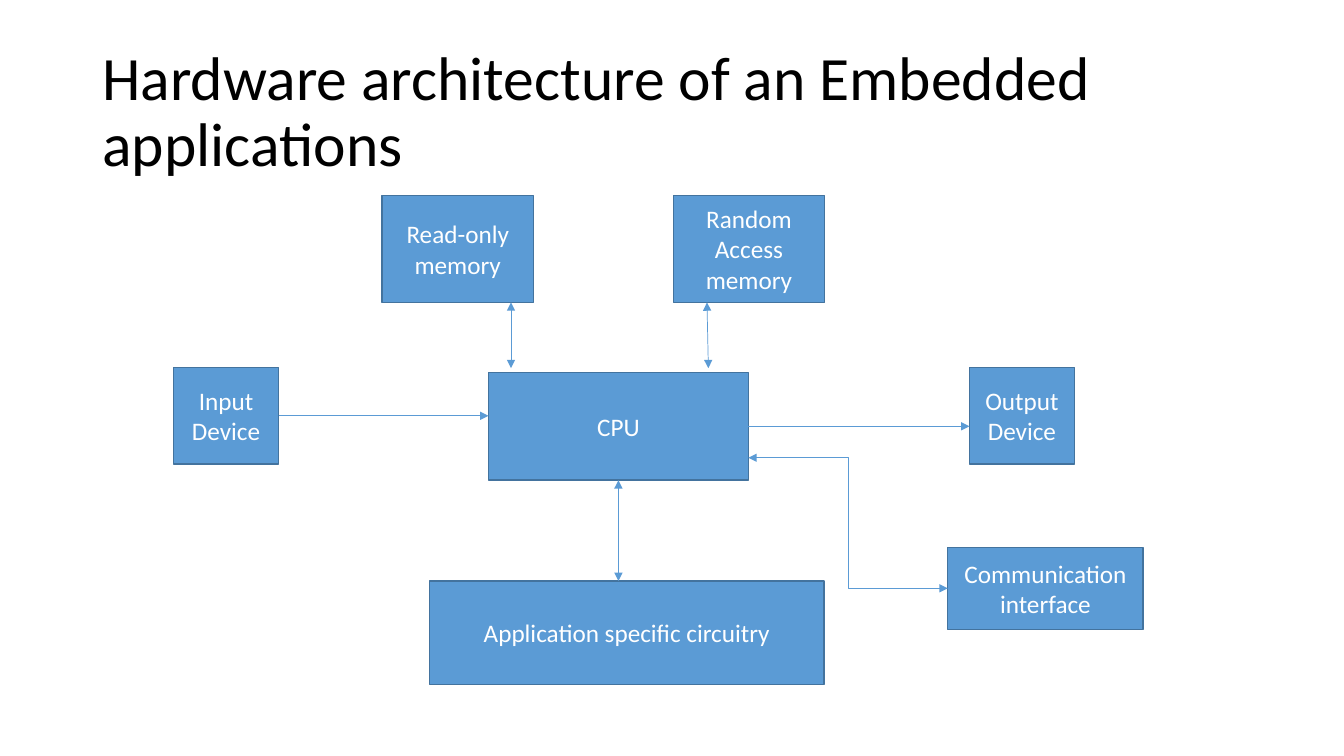
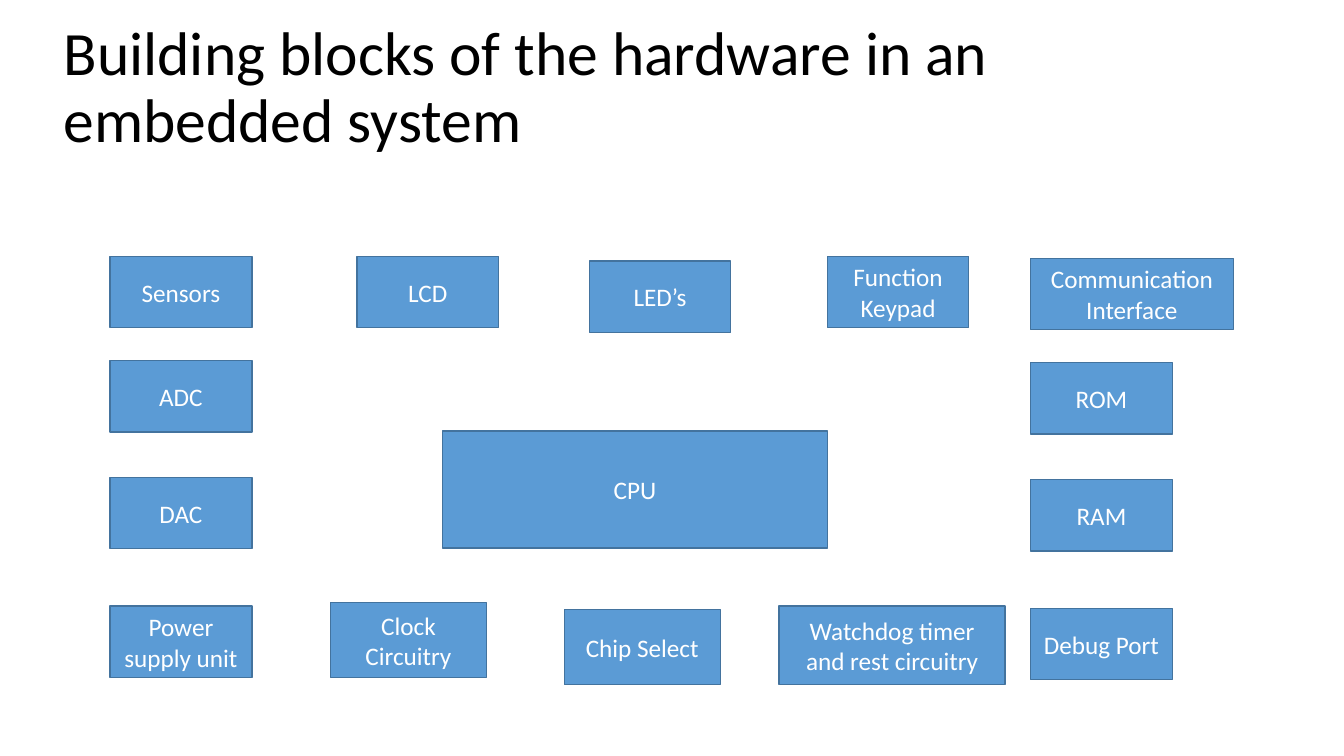
from dataclasses import dataclass
from typing import Optional

import pptx
import pptx.dml.color
import pptx.enum.shapes
import pptx.enum.text
import pptx.oxml.ns
import pptx.presentation
import pptx.shapes.autoshape
import pptx.slide
import pptx.util
from lxml import etree

Pt = pptx.util.Pt
RGBColor = pptx.dml.color.RGBColor
CONNECTOR = pptx.enum.shapes.MSO_CONNECTOR

# Shared look
FONT = "Calibri"
BLOCK_FILL = RGBColor(0x5B, 0x9B, 0xD5)
BLOCK_EDGE = RGBColor(0x43, 0x73, 0x9E)
BLOCK_TEXT = RGBColor(0xFF, 0xFF, 0xFF)
TITLE_TEXT = RGBColor(0x00, 0x00, 0x00)
TITLE_ONLY = 5
TITLE_WIDTH, TITLE_HEIGHT = 828, 104.4

# Connection sites of a rectangle
LEFT, BOTTOM, RIGHT = 1, 2, 3


@dataclass(frozen=True)
class Block:
    label: str
    left: float
    top: float
    width: float
    height: float


@dataclass(frozen=True)
class Joint:
    label: str
    side: int


@dataclass(frozen=True)
class Link:
    start: tuple[float, float]
    end: tuple[float, float]
    start_joint: Optional[Joint] = None
    end_joint: Optional[Joint] = None
    two_way: bool = True
    bent: bool = False


# Hardware architecture
ARCHITECTURE = [
    Block("CPU", 349, 266, 185.5, 77),
    Block("Input Device", 124, 262.5, 75, 69),
    Block("Output Device", 692.5, 262.5, 75, 69),
    Block("Read-only memory", 273, 139.5, 108, 76.5),
    Block("Random Access memory", 481, 139.5, 108, 76.5),
    Block("Application specific circuitry", 307, 415, 281.5, 74),
    Block("Communication interface", 677, 391, 139.5, 58.5),
]
LINKS = [
    Link((199, 297), (349, 297), Joint("Input Device", RIGHT), two_way=False),
    Link((534.5, 304.5), (692.5, 304.5), Joint("CPU", RIGHT), two_way=False),
    Link((365, 216), (365, 263)),
    Link((505, 216), (506, 263)),
    Link((441.75, 343), (441.75, 415), Joint("CPU", BOTTOM)),
    Link((534.5, 327), (677, 420.25),
         end_joint=Joint("Communication interface", LEFT), bent=True),
]

# Building blocks: two side columns share their rows
UNIT_WIDTH, UNIT_HEIGHT = 101.5, 51
ROW_TOPS = [183, 257.5, 341, 433]
LEFT_UNITS = ["Sensors", "ADC", "DAC", "Power supply unit"]
RIGHT_UNITS = ["Communication Interface", "ROM", "RAM", "Debug Port"]
RIGHT_WIDTHS = [145, UNIT_WIDTH, UNIT_WIDTH, UNIT_WIDTH]
BUILDING_BLOCKS = [
    *(Block(label, 78.5, top, UNIT_WIDTH, UNIT_HEIGHT)
      for label, top in zip(LEFT_UNITS, ROW_TOPS)),
    *(Block(label, 736, top + 1.5, width, UNIT_HEIGHT)
      for label, top, width in zip(RIGHT_UNITS, ROW_TOPS, RIGHT_WIDTHS)),
    Block("CPU", 316, 308, 275, 83.5),
    Block("LCD", 255, 183, 101, UNIT_HEIGHT),
    Block("LED’s", 421, 186.5, 101, UNIT_HEIGHT),
    Block("Function Keypad", 591, 183, 101, UNIT_HEIGHT),
    Block("Clock Circuitry", 236, 430.5, 111.5, 53.5),
    Block("Chip Select", 403, 435.5, 111.5, 53.5),
    Block("Watchdog timer and rest circuitry", 556.5, 433, 161.5, 56),
]


def write(frame: pptx.text.text.TextFrame, text: str, size: float,
          color: RGBColor, align: pptx.enum.text.PP_ALIGN):
    """Fill a text frame with one middle-anchored paragraph."""
    frame.word_wrap = True
    frame.auto_size = pptx.enum.text.MSO_AUTO_SIZE.NONE
    frame.vertical_anchor = pptx.enum.text.MSO_ANCHOR.MIDDLE
    paragraph = frame.paragraphs[0]
    paragraph.alignment = align
    run = paragraph.add_run()
    run.text = text
    run.font.name = FONT
    run.font.size = Pt(size)
    run.font.color.rgb = color
    return paragraph


def add_titled_slide(deck: pptx.presentation.Presentation, heading: str,
                     left: float, top: float) -> pptx.slide.Slide:
    slide = deck.slides.add_slide(deck.slide_layouts[TITLE_ONLY])
    title = slide.shapes.title
    title.left, title.top = Pt(left), Pt(top)
    title.width, title.height = Pt(TITLE_WIDTH), Pt(TITLE_HEIGHT)
    paragraph = write(title.text_frame, heading, 44, TITLE_TEXT,
                      pptx.enum.text.PP_ALIGN.LEFT)
    paragraph.line_spacing = 0.9
    return slide


def draw_block(slide: pptx.slide.Slide,
               block: Block) -> pptx.shapes.autoshape.Shape:
    box = slide.shapes.add_shape(
        pptx.enum.shapes.MSO_SHAPE.RECTANGLE,
        Pt(block.left), Pt(block.top), Pt(block.width), Pt(block.height))
    box.shadow.inherit = False
    box.fill.solid()
    box.fill.fore_color.rgb = BLOCK_FILL
    box.line.color.rgb = BLOCK_EDGE
    box.line.width = Pt(1)
    write(box.text_frame, block.label, 18, BLOCK_TEXT,
          pptx.enum.text.PP_ALIGN.CENTER)
    return box


def draw_link(slide: pptx.slide.Slide, link: Link,
              boxes: dict[str, pptx.shapes.autoshape.Shape]) -> None:
    kind = CONNECTOR.ELBOW if link.bent else CONNECTOR.STRAIGHT
    arrow = slide.shapes.add_connector(
        kind, *(Pt(value) for value in link.start + link.end))
    if link.start_joint:
        arrow.begin_connect(boxes[link.start_joint.label], link.start_joint.side)
    if link.end_joint:
        arrow.end_connect(boxes[link.end_joint.label], link.end_joint.side)
    arrow.line.color.rgb = BLOCK_FILL
    arrow.line.width = Pt(0.5)
    # Arrowheads, and no inherited shadow
    qn = pptx.oxml.ns.qn
    properties = arrow._element.spPr
    outline = properties.find(qn("a:ln"))
    for tip in ["a:headEnd", "a:tailEnd"] if link.two_way else ["a:tailEnd"]:
        etree.SubElement(outline, qn(tip), type="triangle")
    etree.SubElement(properties, qn("a:effectLst"))


def main() -> None:
    deck = pptx.Presentation()
    deck.slide_width, deck.slide_height = Pt(960), Pt(540)

    # Architecture diagram
    architecture = add_titled_slide(
        deck, "Hardware architecture of an Embedded applications", 66, 28.8)
    boxes = {block.label: draw_block(architecture, block)
             for block in ARCHITECTURE}
    for link in LINKS:
        draw_link(architecture, link, boxes)

    # Building blocks overview
    overview = add_titled_slide(
        deck, "Building blocks of the hardware in an embedded system", 38.2, 11.5)
    for block in BUILDING_BLOCKS:
        draw_block(overview, block)

    deck.save("out.pptx")


if __name__ == "__main__":
    main()
